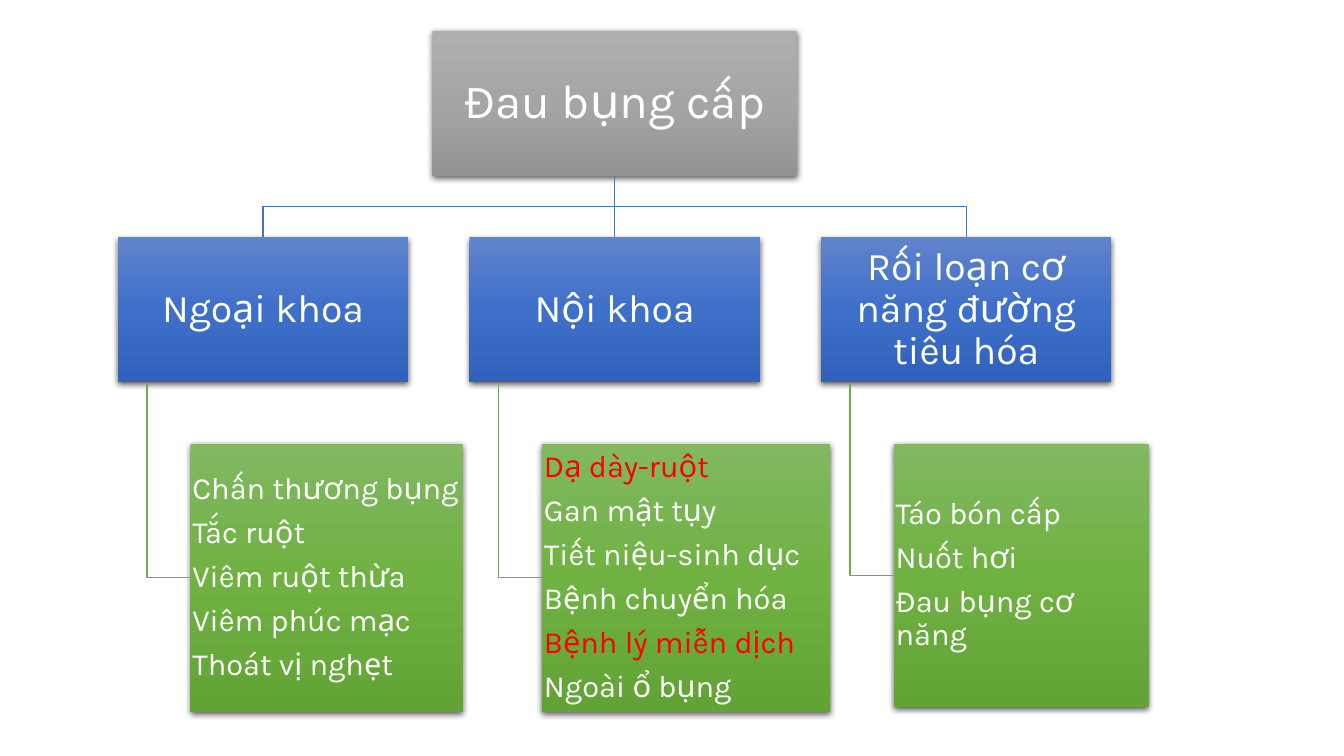
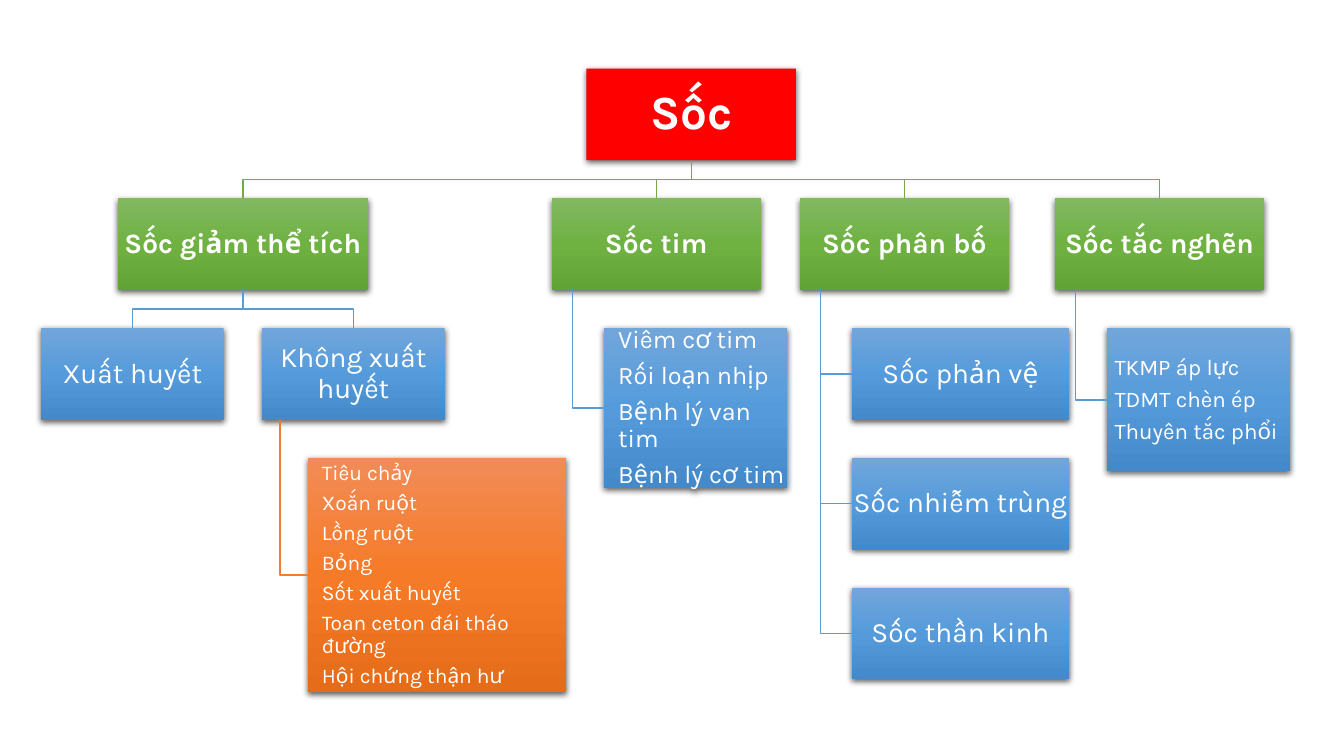
from copy import deepcopy
from pptx import Presentation
from pptx.dml.color import RGBColor
from pptx.enum.shapes import MSO_CONNECTOR as Connector, MSO_SHAPE as Preset
from pptx.enum.text import MSO_ANCHOR as Anchor, PP_ALIGN as Align
from pptx.oxml import parse_xml
from pptx.oxml.ns import nsdecls, qn
from pptx.util import Cm, Pt

# Theme: each look has its fill stops and the colour of the line leading to it
THEME = {
    "font": "Karla",
    "text": "FFFFFF",
    "alert": "FF0000",
    "line": Pt(1),
    "looks": {
        "grey": (["AFAFAF", "A5A5A5", "939393"], "A5A5A5"),
        "red": (["FF0000"], "FF0000"),
        "navy": (["6183CB", "3E70CA", "3062BB"], "4472C4"),
        "green": (["81B861", "6FB242", "62A336"], "70AD47"),
        "sky": (["71A6DB", "559BDB", "448ACA"], "5B9BD5"),
        "orange": (["F18C57", "F67B28", "E56C19"], "ED7D31"),
    },
    "sizes": {"root": 34, "branch": 28, "list": 22, "node": 20,
              "causes": 18, "blockages": 16, "losses": 15},
}
SHADOW = (f'<a:outerShdw {nsdecls("a")} blurRad="57150" dist="19050" dir="5400000" '
          'algn="ctr" rotWithShape="0"><a:srgbClr val="000000">'
          '<a:alpha val="63000"/></a:srgbClr></a:outerShdw>')

# Box: name, parent, left, width, height, look, size, options, lines (cm)
# A box without a left hangs from a rail under its parent
PAIN_BOXES = [
    ("pain", None, 10.9, 9.18, 3.66, "grey", "root", {}, ["Đau bụng cấp"]),
    ("surgical", "pain", 2.97, 7.32, 3.66, "navy", "branch", {}, ["Ngoại khoa"]),
    ("medical", "pain", 11.83, 7.32, 3.66, "navy", "branch", {}, ["Nội khoa"]),
    ("functional", "pain", 20.69, 7.32, 3.66, "navy", "branch", {},
     ["Rối loạn cơ năng đường tiêu hóa"]),
    ("surgical list", "surgical", None, 6.86, 6.76, "green", "list", {"indent": 0},
     ["Chấn thương bụng", "Tắc ruột", "Viêm ruột thừa", "Viêm phúc mạc",
      "Thoát vị nghẹt"]),
    ("medical list", "medical", None, 7.27, 6.76, "green", "list",
     {"indent": 0, "alert": ["Dạ dày-ruột", "Bệnh lý miễn dịch"]},
     ["Dạ dày-ruột", "Gan mật tụy", "Tiết niệu-sinh dục", "Bệnh chuyển hóa",
      "Bệnh lý miễn dịch", "Ngoài ổ bụng"]),
    ("functional list", "functional", None, 6.43, 6.63, "green", "list", {"indent": 0},
     ["Táo bón cấp", "Nuốt hơi", "Đau bụng cơ năng"]),
]
BOLD = {"bold": True}
SHOCK_BOXES = [
    ("shock", None, 14.78, 5.28, 2.31, "red", "root", BOLD, ["Sốc"]),
    ("volume", "shock", 2.97, 6.3, 2.31, "green", "node", BOLD, ["Sốc giảm thể tích"]),
    ("heart", "shock", 13.9, 5.28, 2.31, "green", "node", BOLD, ["Sốc tim"]),
    ("spread", "shock", 20.15, 5.28, 2.31, "green", "node", BOLD, ["Sốc phân bố"]),
    ("blocked", "shock", 26.58, 5.28, 2.31, "green", "node", BOLD, ["Sốc tắc nghẽn"]),
    ("bleeding", "volume", 1.03, 4.61, 2.31, "sky", "node", {}, ["Xuất huyết"]),
    ("no bleeding", "volume", 6.6, 4.61, 2.31, "sky", "node", {}, ["Không xuất huyết"]),
    ("losses", "no bleeding", None, 6.52, 5.89, "orange", "losses", {"indent": 0.33},
     ["Tiêu chảy", "Xoắn ruột", "Lồng ruột", "Bỏng", "Sốt xuất huyết",
      "Toan ceton đái tháo đường", "Hội chứng thận hư"]),
    ("heart list", "heart", None, 4.61, 4.02, "sky", "causes", {"indent": 0.33},
     ["Viêm cơ tim", "Rối loạn nhịp", "Bệnh lý van tim", "Bệnh lý cơ tim"]),
    ("allergic", "spread", None, 5.47, 2.31, "sky", "node", {}, ["Sốc phản vệ"]),
    ("septic", "spread", None, 5.47, 2.31, "sky", "node", {}, ["Sốc nhiễm trùng"]),
    ("nervous", "spread", None, 5.47, 2.31, "sky", "node", {}, ["Sốc thần kinh"]),
    ("blocked list", "blocked", None, 4.61, 3.61, "sky", "blockages", {"indent": 0.16},
     ["TKMP áp lực", "TDMT chèn ép", "Thuyên tắc phổi"]),
]
# Page: top of the root, gap between levels, text inset, boxes
PAGES = [(0.78, 1.54, 0.05, PAIN_BOXES), (1.73, 0.96, 0.03, SHOCK_BOXES)]


def add_box(page, left, top, width, height, look, inset):
    box = page.shapes.add_shape(Preset.RECTANGLE, left, top, width, height)
    stops = THEME["looks"][look][0]
    if len(stops) == 1:
        box.fill.solid()
        box.fill.fore_color.rgb = RGBColor.from_string(stops[0])
    else:
        box.fill.gradient()
        box.fill.gradient_angle = 270
        stop_list = box._element.spPr.find(".//" + qn("a:gsLst"))
        stop_list.insert(1, deepcopy(stop_list[0]))
        for index, stop in enumerate(box.fill.gradient_stops):
            stop.color.rgb = RGBColor.from_string(stops[index])
            stop.position = index / 2
    box.line.fill.background()
    box.shadow.inherit = False
    box._element.spPr.find(qn("a:effectLst")).append(parse_xml(SHADOW))
    frame_format = {"word_wrap": True, "vertical_anchor": Anchor.MIDDLE,
                    "margin_left": inset, "margin_right": inset,
                    "margin_top": inset, "margin_bottom": inset}
    for name, value in frame_format.items():
        setattr(box.text_frame, name, value)
    return box


def add_link(page, parent, child, hangs, look):
    bottom = parent.top + parent.height
    start = parent.left + parent.width // 2
    end = child.left + child.width // 2
    if not hangs and abs(start - end) < Cm(0.01):
        link = page.shapes.add_connector(Connector.STRAIGHT, start, bottom, end, child.top)
        link.begin_connect(parent, 2)
        link.end_connect(child, 0)
        link._element.spPr.append(parse_xml(f'<a:effectLst {nsdecls("a")}/>'))
    else:
        if hangs:
            start = parent.left + parent.width // 10
            middle = child.top + child.height // 2
            points = [(start, middle), (child.left, middle)]
        else:
            middle = (bottom + child.top) // 2
            points = [(start, middle), (end, middle), (end, child.top)]
        outline = page.shapes.build_freeform(start, bottom)
        outline.add_line_segments(points, close=False)
        link = outline.convert_to_shape()
        link.fill.background()
        link.shadow.inherit = False
    link.line.width = THEME["line"]
    link.line.color.rgb = RGBColor.from_string(THEME["looks"][look][1])


deck = Presentation()
deck.slide_width, deck.slide_height = Cm(33.87), Cm(19.05)

for root_top, gap, inset, specs in PAGES:
    page = deck.slides.add_slide(deck.slide_layouts[6])
    boxes, next_top = {}, {}

    for name, parent_name, left, width, height, look, size, options, lines in specs:
        # Place the box below its parent
        parent = boxes.get(parent_name)
        hangs = left is None
        top = next_top.get(parent_name, Cm(root_top))
        x = parent.left + parent.width // 4 if hangs else Cm(left)
        box = add_box(page, x, top, Cm(width), Cm(height), look, Cm(inset))
        boxes[name] = box
        next_top[name] = top + box.height + Cm(gap)
        if hangs:
            next_top[parent_name] = next_top[name]

        # Write its lines
        points = THEME["sizes"][size]
        indent = options.get("indent")
        for index, line in enumerate(lines):
            frame = box.text_frame
            para = frame.add_paragraph() if index else frame.paragraphs[0]
            if indent:
                para._p.get_or_add_pPr().set("marL", str(Cm(indent)))
            para_format = {"alignment": Align.CENTER if indent is None else Align.LEFT,
                           "line_spacing": 0.9, "space_after": Pt(0.35 * points)}
            for key, value in para_format.items():
                setattr(para, key, value)
            span = para.add_run()
            span.text = line
            font_format = {"name": THEME["font"], "size": Pt(points),
                           "bold": options.get("bold", False)}
            for key, value in font_format.items():
                setattr(span.font, key, value)
            tone = "alert" if line in options.get("alert", []) else "text"
            span.font.color.rgb = RGBColor.from_string(THEME[tone])

        # Join it to its parent
        if parent is not None:
            add_link(page, parent, box, hangs, look)

deck.save("out.pptx")
